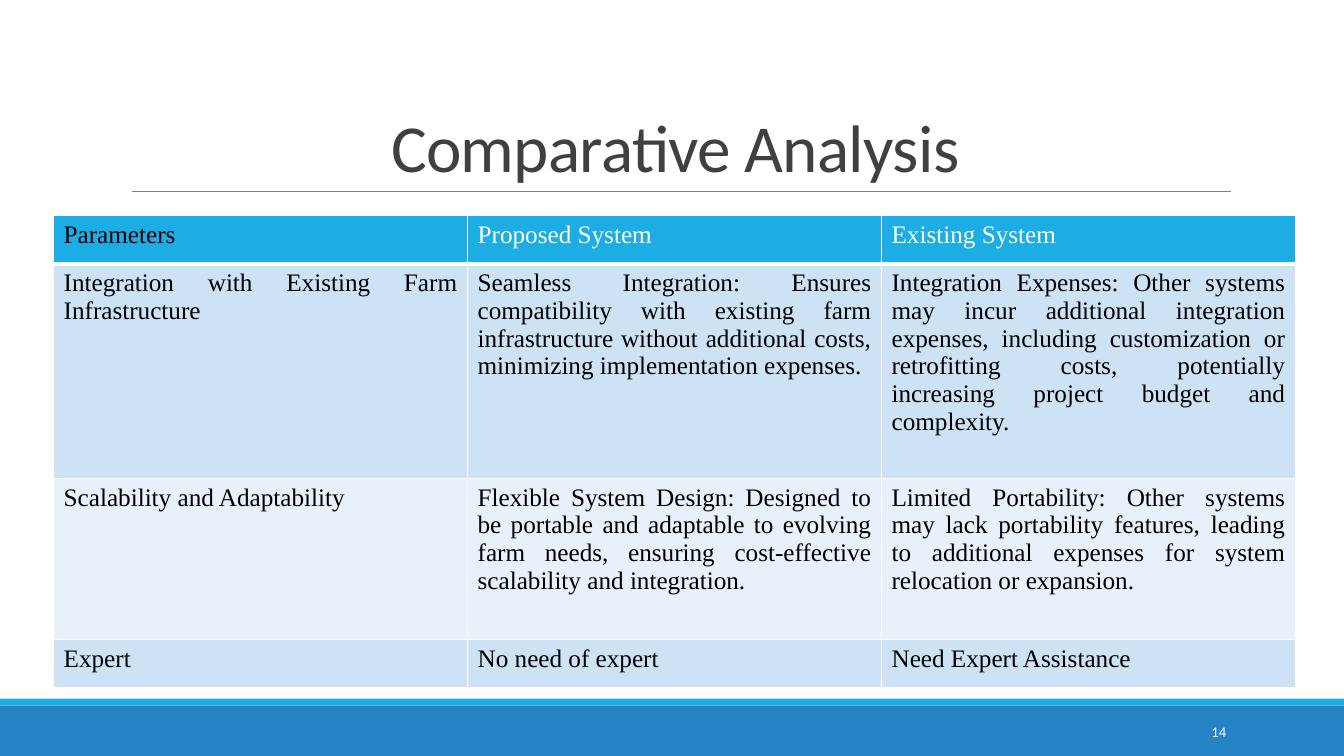
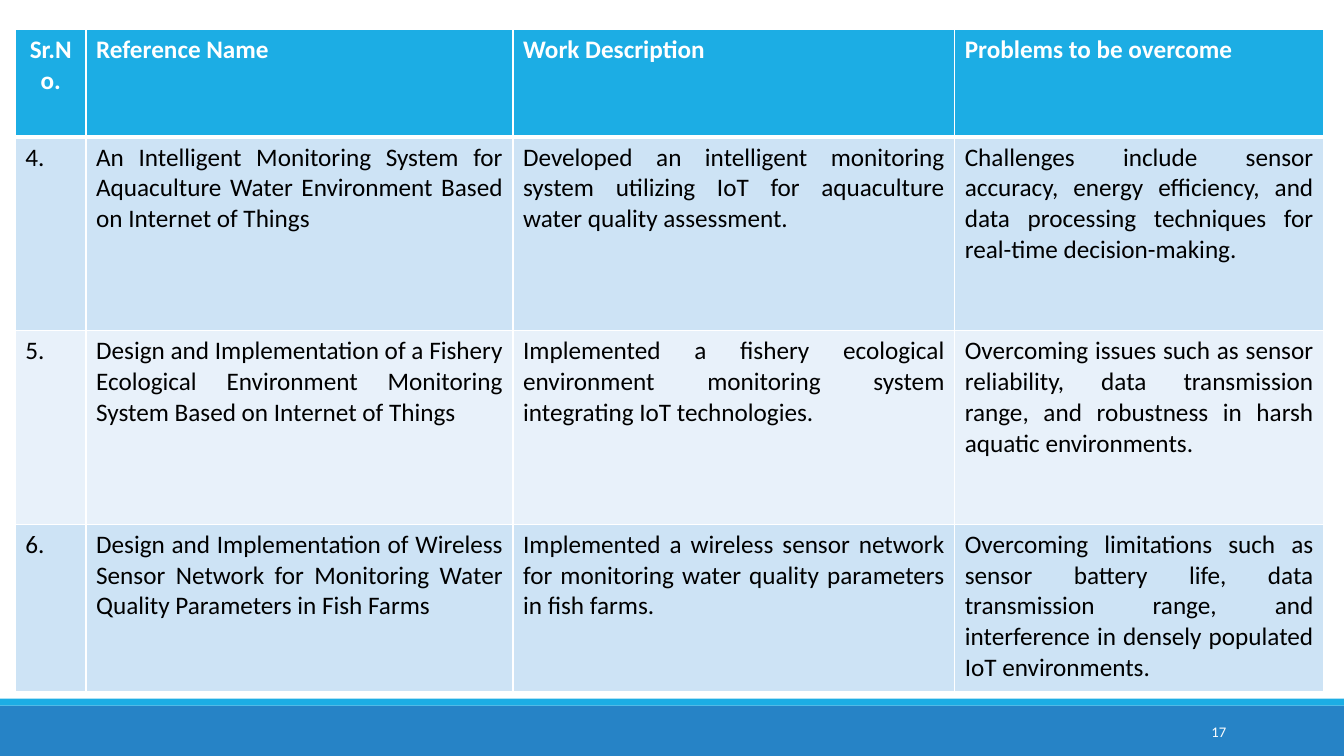
from lxml.etree import SubElement
from pptx import Presentation
from pptx.dml.color import RGBColor
from pptx.enum.shapes import MSO_CONNECTOR as Connector, MSO_SHAPE as Shape
from pptx.enum.text import MSO_ANCHOR as Anchor, MSO_AUTO_SIZE as AutoSize, PP_ALIGN as Align
from pptx.oxml.ns import qn
from pptx.util import Pt

WIDTH, HEIGHT = 960, 540
WHITE, BLACK = "FFFFFF", "000000"
BLUE, CYAN = "2683C6", "1CADE4"
GREY, DARK = "808080", "404040"
BODY_FILLS = ("CDE3F5", "E8F1FA")
TITLE_ONLY, BLANK = 5, 6


def color(value):
    return RGBColor.from_string(value)


class Deck:
    """Holds the presentation, its style and the current slide."""

    font = "Calibri"

    def __init__(self):
        self.presentation = Presentation()
        self.presentation.slide_width = Pt(WIDTH)
        self.presentation.slide_height = Pt(HEIGHT)
        self.slide = None

    def add_slide(self, number, title=None):
        layout = self.presentation.slide_layouts[TITLE_ONLY if title else BLANK]
        self.slide = self.presentation.slides.add_slide(layout)
        self.band(504, 36, BLUE)
        self.band(499, 5, CYAN)
        self.page_number(number)
        if title:
            self.title(title)
            self.rule(94.5, 879, 136.8)

    def format(self, paragraph, size, ink, align, font=None, bold=False):
        paragraph.alignment = align
        for run in paragraph.runs:
            run.font.name = font or self.font
            run.font.size = Pt(size)
            run.font.bold = bold
            run.font.color.rgb = color(ink)

    def band(self, top, height, fill):
        shape = self.slide.shapes.add_shape(Shape.RECTANGLE, 0, Pt(top), Pt(WIDTH), Pt(height))
        shape.shadow.inherit = False
        shape.fill.solid()
        shape.fill.fore_color.rgb = color(fill)
        shape.line.fill.background()

    def rule(self, left, right, y):
        line = self.slide.shapes.add_connector(
            Connector.STRAIGHT, Pt(left), Pt(y), Pt(right), Pt(y))
        line.line.color.rgb = color(GREY)
        line.line.width = Pt(0.5)
        SubElement(line.element.spPr, qn("a:effectLst"))

    def title(self, text):
        shape = self.slide.shapes.title
        shape.left, shape.top, shape.width, shape.height = Pt(86.4), Pt(22.5), Pt(792), Pt(114.3)
        frame = shape.text_frame
        frame.text = text
        frame.auto_size = AutoSize.NONE
        frame.vertical_anchor = Anchor.BOTTOM
        paragraph = frame.paragraphs[0]
        paragraph.line_spacing = 0.85
        self.format(paragraph, 48, DARK, Align.CENTER)
        # Tighter letter spacing, in hundredths of a point
        paragraph.runs[0].font._element.set("spc", "-50")

    def page_number(self, number):
        box = self.slide.shapes.add_textbox(Pt(780), Pt(508.5), Pt(103), Pt(28.8))
        frame = box.text_frame
        frame.word_wrap = True
        frame.vertical_anchor = Anchor.MIDDLE
        frame.text = str(number)
        self.format(frame.paragraphs[0], 10.5, WHITE, Align.RIGHT)

    def borders(self, cell, row):
        """White borders, with a thicker one between the header and the body."""
        properties = cell._tc.get_or_add_tcPr()
        thick_side = {0: "lnB", 1: "lnT"}.get(row)
        for side in ("lnL", "lnR", "lnT", "lnB"):
            width = Pt(3 if side == thick_side else 1)
            line = SubElement(properties, qn(f"a:{side}"), w=str(int(width)))
            fill = SubElement(line, qn("a:solidFill"))
            SubElement(fill, qn("a:srgbClr"), val=WHITE)

    def table(self, left, top, widths, heights, rows, font=None, bold_header=False,
              first_header=(WHITE, Align.JUSTIFY), first_align=Align.JUSTIFY):
        table = self.slide.shapes.add_table(
            len(rows), len(widths), Pt(left), Pt(top), Pt(sum(widths)), Pt(sum(heights))).table
        for column, width in zip(table.columns, widths):
            column.width = Pt(width)
        for i, (row, height) in enumerate(zip(rows, heights)):
            table.rows[i].height = Pt(height)
            for j, text in enumerate(row):
                cell = table.cell(i, j)
                self.borders(cell, i)
                cell.fill.solid()
                cell.fill.fore_color.rgb = color(BODY_FILLS[(i - 1) % 2] if i else CYAN)
                ink, align = (BLACK if i else WHITE), Align.JUSTIFY
                if j == 0:
                    ink, align = (ink, first_align) if i else first_header
                cell.text_frame.text = text
                self.format(cell.text_frame.paragraphs[0], 18, ink, align,
                            font, bold_header and i == 0)


def main():
    deck = Deck()

    # Comparison of the two systems
    deck.add_slide(14, "Comparative Analysis")
    deck.table(
        38.3, 154, [295.7] * 3, [34.4, 153.4, 115.2, 34.4],
        [
            ("Parameters", "Proposed System", "Existing System"),
            ("Integration with Existing Farm Infrastructure",
             "Seamless Integration: Ensures compatibility with existing farm infrastructure "
             "without additional costs, minimizing implementation expenses.",
             "Integration Expenses: Other systems may incur additional integration expenses, "
             "including customization or retrofitting costs, potentially increasing project "
             "budget and complexity."),
            ("Scalability and Adaptability",
             "Flexible System Design: Designed to be portable and adaptable to evolving farm "
             "needs, ensuring cost-effective scalability and integration.",
             "Limited Portability: Other systems may lack portability features, leading to "
             "additional expenses for system relocation or expansion."),
            ("Expert", "No need of expert", "Need Expert Assistance"),
        ],
        font="Times New Roman", first_header=(BLACK, Align.JUSTIFY))

    # Literature survey
    deck.add_slide(17)
    deck.table(
        11, 21, [50.5, 305, 315.5, 263.5], [77, 138.3, 138.3, 119.5],
        [
            ("Sr.No.", "Reference Name", "Work Description", "Problems to be overcome"),
            ("4.",
             "An Intelligent Monitoring System for Aquaculture Water Environment Based on "
             "Internet of Things",
             "Developed an intelligent monitoring system utilizing IoT for aquaculture water "
             "quality assessment.",
             "Challenges include sensor accuracy, energy efficiency, and data processing "
             "techniques for real-time decision-making."),
            ("5.",
             "Design and Implementation of a Fishery Ecological Environment Monitoring System "
             "Based on Internet of Things",
             "Implemented a fishery ecological environment monitoring system integrating IoT "
             "technologies.",
             "Overcoming issues such as sensor reliability, data transmission range, and "
             "robustness in harsh aquatic environments."),
            ("6.",
             "Design and Implementation of Wireless Sensor Network for Monitoring Water "
             "Quality Parameters in Fish Farms",
             "Implemented a wireless sensor network for monitoring water quality parameters "
             "in fish farms.",
             "Overcoming limitations such as sensor battery life, data transmission range, and "
             "interference in densely populated IoT environments."),
        ],
        bold_header=True, first_header=(WHITE, Align.CENTER), first_align=Align.LEFT)

    deck.presentation.save("out.pptx")


if __name__ == "__main__":
    main()
